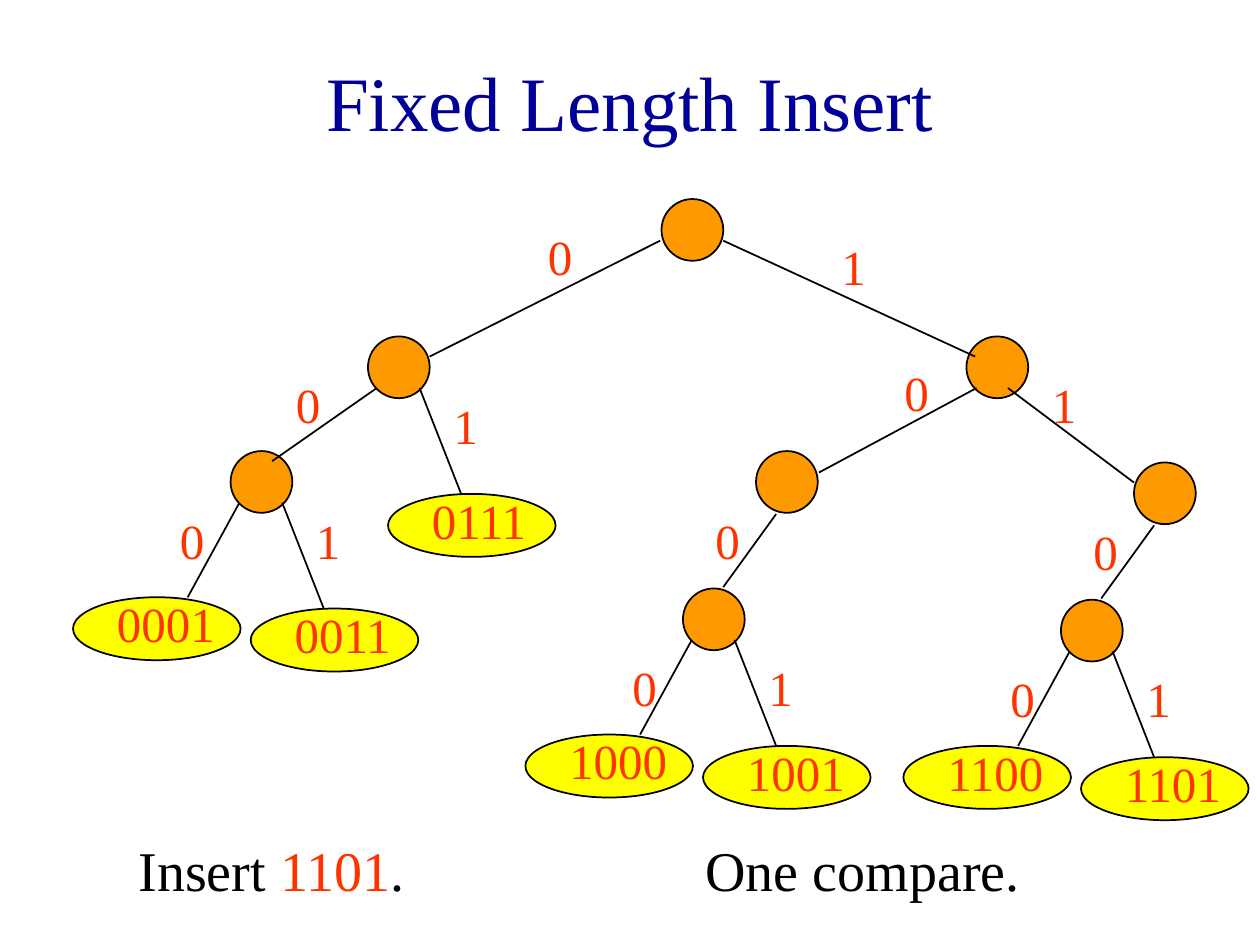
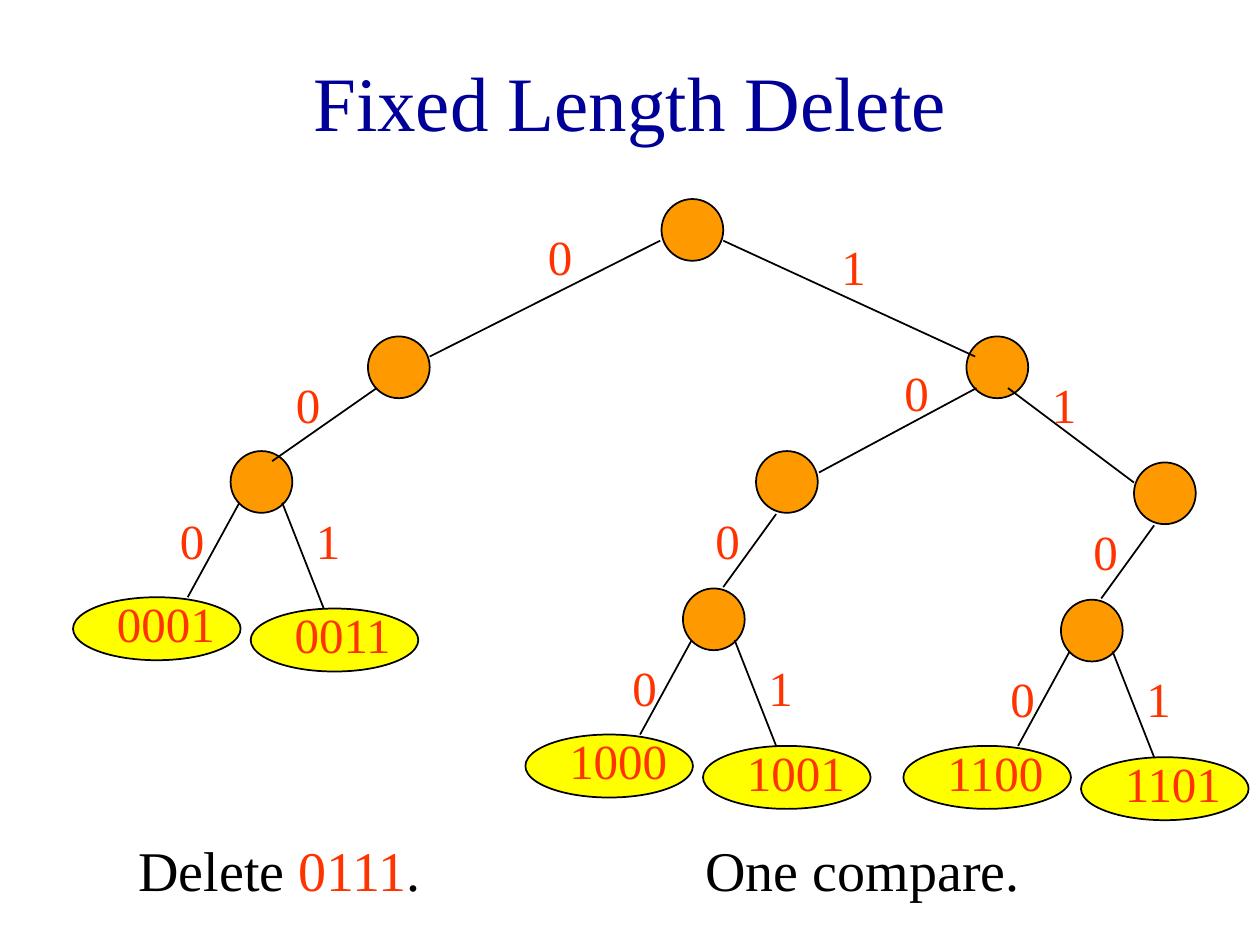
"""Build two slides on inserting into and deleting from a fixed length binary trie."""
from dataclasses import dataclass

from lxml import etree
from pptx import Presentation
from pptx import util as u
from pptx.dml.color import RGBColor
from pptx.enum import shapes, text
from pptx.oxml.ns import qn


@dataclass(frozen=True)
class Theme:
    font: str = "Times New Roman"
    title: RGBColor = RGBColor.from_string("000099")
    ink: RGBColor = RGBColor.from_string("000000")
    paper: RGBColor = RGBColor.from_string("FFFFFF")
    bit: RGBColor = RGBColor.from_string("FF3300")
    node: RGBColor = RGBColor.from_string("FF9900")
    leaf: RGBColor = RGBColor.from_string("FFFF00")
    title_size: int = 44
    caption_size: int = 32
    bit_size: int = 28
    line: float = 1


theme = Theme()

NODE_SIZE = (0.49, 0.49)
LEAF_SIZE = (1.33, 0.5)
BIT_SIZE = (0.5, 0.57)
CODE_SIZE = (1.17, 0.57)
CAPTION_SIZE = (3.25, 0.63)

nodes = [(5.25, 1.58), (2.92, 2.67), (7.67, 2.67), (1.83, 3.58), (6, 3.58),
         (9, 3.67), (5.42, 4.67), (8.42, 4.76)]
root, west, east, west_fork, mid, far_east, mid_fork, east_fork = nodes

upper_edges = [
    ((5.24, 1.91), (3.41, 2.83), "0", (4.25, 1.75)),
    ((5.74, 1.91), (7.74, 2.83), "1", (6.58, 1.83)),
    ((2.99, 3.08), (2.16, 3.66), "0", (2.25, 2.92)),
    ((7.75, 3.08), (6.5, 3.75), "0", (7.08, 2.83)),
    ((8, 3.08), (9, 3.83), "1", (8.25, 2.92)),
]

branch_shapes = {
    "stem": ((0.16, 0.5), (-0.26, 1.08), "0", -0.42, None),
    "left": ((0.07, 0.41), (-0.34, 1.16), "0", -0.5, (-1.25, 1.16)),
    "right": ((0.41, 0.41), (0.74, 1.25), "1", 0.58, (0.16, 1.25)),
}
lower_branches = [
    (west, "right", 0.42, "0111"),
    (west_fork, "left", 0.42, "0001"),
    (west_fork, "right", 0.42, "0011"),
    (mid, "stem", 0.42, None),
    (far_east, "stem", 0.42, None),
    (mid_fork, "left", 0.5, "1000"),
    (mid_fork, "right", 0.5, "1001"),
    (east_fork, "left", 0.5, "1100"),
    (east_fork, "right", 0.5, "1101"),
]

lessons = [
    ("Fixed Length Insert", "Insert", "1101", None),
    ("Fixed Length Delete", "Delete", "0111", "0111"),
]


def write(slide, place, size, runs, points):
    """Add a text box at place holding one paragraph of (words, colour) runs."""
    box = slide.shapes.add_textbox(*map(u.Inches, place + size))
    frame = box.text_frame
    frame.word_wrap = True
    for words, colour in runs:
        run = frame.paragraphs[0].add_run()
        run.text = words
        run.font.name = theme.font
        run.font.size = u.Pt(points)
        run.font.color.rgb = colour
    return box


def shift(place, offset):
    """Return place moved by offset."""
    return place[0] + offset[0], place[1] + offset[1]


deck = Presentation()
deck.slide_width, deck.slide_height = u.Inches(10), u.Inches(7.5)

for title, action, key, removed in lessons:
    slide = deck.slides.add_slide(deck.slide_layouts[6])

    heading = write(slide, (0.75, 0.17), (8.5, 1.25), [(title, theme.title)], theme.title_size)
    heading.text_frame.vertical_anchor = text.MSO_ANCHOR.MIDDLE
    heading.text_frame.paragraphs[0].alignment = text.PP_ALIGN.CENTER

    task = [(action, theme.ink), (f" {key}", theme.bit), (".", theme.ink)]
    cost = [("One compare.", theme.ink)]
    for left, runs in ((1, task), (5.5, cost)):
        caption = write(slide, (left, 6.58), CAPTION_SIZE, runs, theme.caption_size)
        caption.fill.solid()
        caption.fill.fore_color.rgb = theme.paper

    ovals = [(node, NODE_SIZE, theme.node) for node in nodes]
    edges = list(upper_edges)
    codes = []
    for node, kind, drop, code in lower_branches:
        if code and code == removed:
            continue
        start, end, bit, across, leaf_offset = branch_shapes[kind]
        edges.append((shift(node, start), shift(node, end), bit, shift(node, (across, drop))))
        if code:
            leaf = shift(node, leaf_offset)
            ovals.append((leaf, LEAF_SIZE, theme.leaf))
            codes.append((code, shift(leaf, (0.25, -0.08))))

    for place, size, colour in ovals:
        oval = slide.shapes.add_shape(shapes.MSO_SHAPE.OVAL, *map(u.Inches, place + size))
        oval.shadow.inherit = False
        oval.fill.solid()
        oval.fill.fore_color.rgb = colour
        oval.line.color.rgb = theme.ink
        oval.line.width = u.Pt(theme.line)

    for start, end, bit, bit_place in edges:
        edge = slide.shapes.add_connector(
            shapes.MSO_CONNECTOR.STRAIGHT, *map(u.Inches, start + end))
        edge.line.color.rgb = theme.ink
        edge.line.width = u.Pt(theme.line)
        etree.SubElement(edge._element.spPr, qn("a:effectLst"))
        write(slide, bit_place, BIT_SIZE, [(bit, theme.bit)], theme.bit_size)

    for code, place in codes:
        write(slide, place, CODE_SIZE, [(code, theme.bit)], theme.bit_size)

deck.save("out.pptx")
